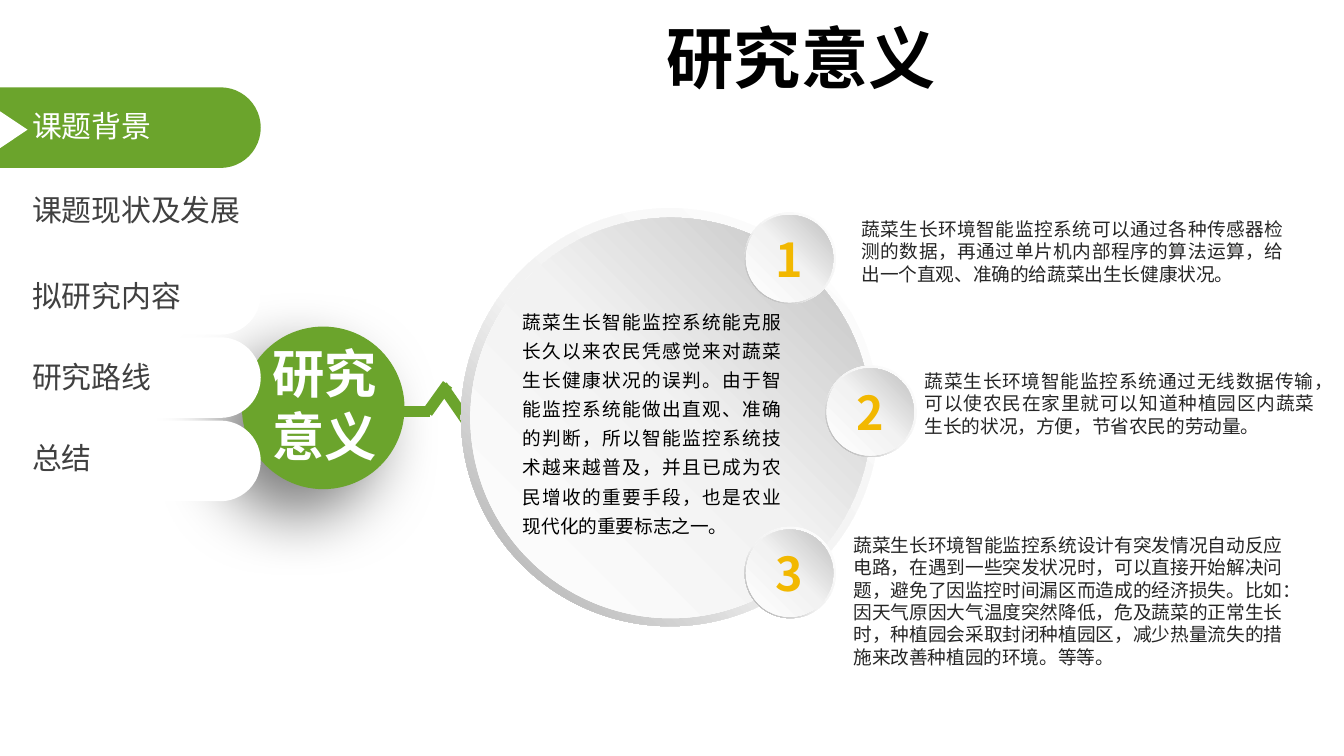
import copy
import pptx
import pptx.util
import pptx.dml.color
import pptx.enum.shapes
import pptx.enum.text
import pptx.oxml.ns
from lxml import etree

Inches = pptx.util.Inches
Pt = pptx.util.Pt
qn = pptx.oxml.ns.qn
SHAPE = pptx.enum.shapes.MSO_SHAPE
ALIGN = pptx.enum.text.PP_ALIGN
ANCHOR = pptx.enum.text.MSO_ANCHOR

GREEN, WHITE, BLACK = "6BA42C", "FFFFFF", "000000"
GOLD, DARK, GREY = "F2B800", "262626", "404040"
SANS_SC, SANS_TC = "Noto Sans CJK SC", "Noto Sans CJK TC"
RIM = [(0, WHITE), (0.55, "F2F2F2"), (1, "A6A6A6")]
DISC = [(0, WHITE), (0.51, "F2F2F2"), (1, "BFBFBF")]


def color(value):
    return pptx.dml.color.RGBColor.from_string(value)


def write(shape, lines, size, ink, align=ALIGN.LEFT, bold=False, font=SANS_SC, spacing=None):
    frame = shape.text_frame
    frame.text = "\n".join(lines)
    for para in frame.paragraphs:
        para.alignment = align
        para.font.size = Pt(size)
        para.font.bold = bold
        para.font.color.rgb = color(ink)
        para.font.name = font
        defaults = para._p.pPr.find(qn("a:defRPr"))
        etree.SubElement(defaults, qn("a:ea"), typeface=font)
        if spacing:
            para.line_spacing = spacing


def add_text(page, place, lines, size, ink, inset=True, wrap=True, **style):
    box = page.shapes.add_textbox(*map(Inches, place))
    frame = box.text_frame
    frame.word_wrap = wrap
    frame.auto_size = pptx.enum.text.MSO_AUTO_SIZE.SHAPE_TO_FIT_TEXT
    if not inset:
        frame.margin_left = frame.margin_right = frame.margin_top = frame.margin_bottom = 0
    write(box, lines, size, ink, **style)


def add_shape(page, kind, place, fill=None, adjust=None):
    shape = page.shapes.add_shape(kind, *map(Inches, place))
    shape.shadow.inherit = False
    shape.line.fill.background()
    if fill:
        shape.fill.solid()
        shape.fill.fore_color.rgb = color(fill)
    if adjust is not None:
        shape.adjustments[0] = adjust
    return shape


def add_gradient(shape, stops, angle):
    shape.fill.gradient()
    shape.fill.gradient_angle = 360 - angle
    stop_list = shape._element.spPr.find(".//" + qn("a:gsLst"))
    stop_list.append(copy.deepcopy(stop_list[0]))
    for stop, (position, value) in zip(shape.fill.gradient_stops, stops):
        stop.position = position
        stop.color.rgb = color(value)


def add_shadow(shape, opacity, blur, distance, angle):
    effects = shape._element.spPr.find(qn("a:effectLst"))
    shadow = etree.SubElement(effects, qn("a:outerShdw"), blurRad=str(Pt(blur)),
                              dist=str(Pt(distance)), dir=str(angle * 60000),
                              algn="ctr", rotWithShape="0")
    ink = etree.SubElement(shadow, qn("a:srgbClr"), val=BLACK)
    etree.SubElement(ink, qn("a:alpha"), val=str(opacity * 1000))


def add_line(page, start, end):
    line = page.shapes.add_connector(pptx.enum.shapes.MSO_CONNECTOR.STRAIGHT,
                                     *map(Inches, start + end))
    line.line.color.rgb = color(GREEN)
    line.line.width = Pt(6)
    etree.SubElement(line._element.spPr, qn("a:effectLst"))


def add_dial(page, left, top, size, inner, gap):
    rim = add_shape(page, SHAPE.DONUT, (left, top, size, size), adjust=0.05)
    add_gradient(rim, RIM, 135)
    offset_x, offset_y = gap
    disc = add_shape(page, SHAPE.OVAL, (left + offset_x, top + offset_y, inner, inner))
    add_gradient(disc, DISC, 315)
    return disc


def add_topic(page):
    hub = add_shape(page, SHAPE.OVAL, (1.8, 2.43, 1.21, 1.21), GREEN)
    add_shadow(hub, 50, 35, 20, 135)
    for start, end in [((2.71, 3.06), (3.2, 3.06)), ((3.64, 3.08), (4.04, 3.08)),
                       ((3.18, 3.07), (3.33, 2.86)), ((3.51, 3.26), (3.66, 3.07)),
                       ((3.56, 3.26), (3.29, 2.87))]:
        add_line(page, start, end)
    add_dial(page, 3.43, 1.55, 3.11, 2.98, (0.07, 0.07))
    for number, (left, top) in enumerate([(5.54, 1.58), (6.14, 2.72), (5.54, 3.92)], 1):
        disc = add_dial(page, left, top, 0.68, 0.65, (0.01, 0.02))
        disc.text_frame.vertical_anchor = ANCHOR.MIDDLE
        write(disc, [str(number)], 25, GOLD, ALIGN.CENTER, True)
    add_text(page, (2.02, 2.54, 0.79, 0.94), ["研究", "意义"], 28, WHITE,
             inset=False, wrap=False, align=ALIGN.CENTER, bold=True)


def add_explanations(page):
    points = [
        ((6.41, 1.62, 3.14, 0.5),
         "蔬菜生长环境智能监控系统可以通过各种传感器检测的数据，再通过单片机内部程序的算法运算，"
         "给出一个直观、准确的给蔬菜出生长健康状况。"),
        ((6.88, 2.75, 2.9, 0.5),
         "蔬菜生长环境智能监控系统通过无线数据传输，可以使农民在家里就可以知道种植园区内蔬菜"
         "生长的状况，方便，节省农民的劳动量。"),
        ((6.35, 3.97, 3.19, 1.01),
         "蔬菜生长环境智能监控系统设计有突发情况自动反应电路，在遇到一些突发状况时，可以直接开始"
         "解决问题，避免了因监控时间漏区而造成的经济损失。比如：因天气原因大气温度突然降低，"
         "危及蔬菜的正常生长时，种植园会采取封闭种植园区，减少热量流失的措施来改善种植园的环境。等等。"),
    ]
    for place, text in points:
        add_text(page, place, [text], 10, DARK, inset=False, align=ALIGN.JUSTIFY)
    summary = ("蔬菜生长智能监控系统能克服长久以来农民凭感觉来对蔬菜生长健康状况的误判。"
               "由于智能监控系统能做出直观、准确的判断，所以智能监控系统技术越来越普及，"
               "并且已成为农民增收的重要手段，也是农业现代化的重要标志之一。")
    add_text(page, (3.89, 2.26, 1.92, 1.75), [summary], 10, BLACK,
             inset=False, align=ALIGN.JUSTIFY, spacing=1.3)


def add_menu(page):
    entries = [("课题背景", 0.75), ("课题现状及发展", 1.38), ("拟研究内容", 2.02),
               ("研究路线", 2.62), ("总结", 3.22)]
    for index in (1, 2, 3, 4, 0):
        add_shape(page, SHAPE.ROUNDED_RECTANGLE, (-0.35, 0.65 + 0.62 * index, 2.29, 0.6),
                  WHITE if index else GREEN, 0.5)
    for index, (label, top) in enumerate(entries):
        add_text(page, (0.14, top, 1.83, 0.37), [label], 16, GREY if index else WHITE,
                 font=SANS_TC if index else SANS_SC)
    marker = add_shape(page, SHAPE.ISOSCELES_TRIANGLE, (-0.04, 0.86, 0.28, 0.21), WHITE)
    marker.rotation = 90


def main():
    deck = pptx.Presentation()
    deck.slide_width = Inches(10)
    deck.slide_height = deck.slide_width * 9 // 16
    page = deck.slides.add_slide(deck.slide_layouts[6])
    add_topic(page)
    add_explanations(page)
    add_text(page, (3.85, 0.07, 4.22, 0.71), ["研究意义"], 36, BLACK,
             align=ALIGN.CENTER, bold=True)
    add_menu(page)
    deck.save("out.pptx")


main()
